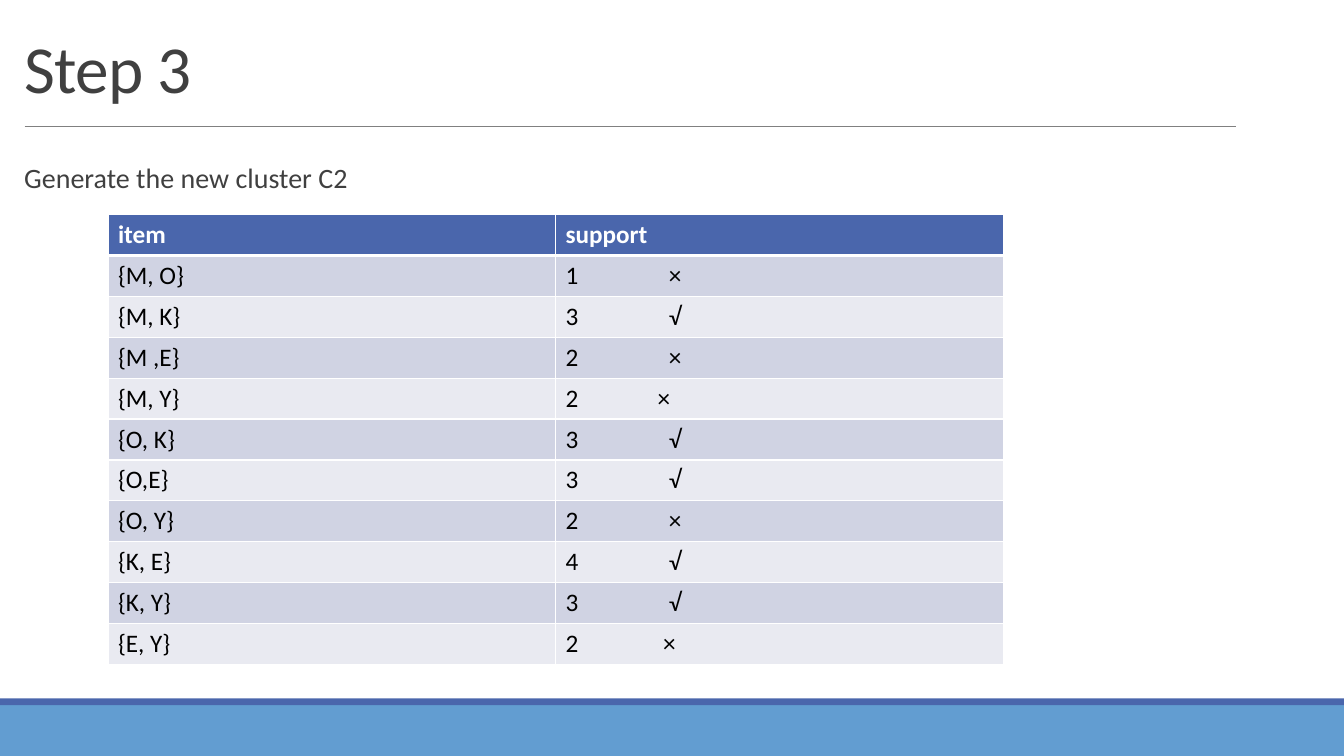
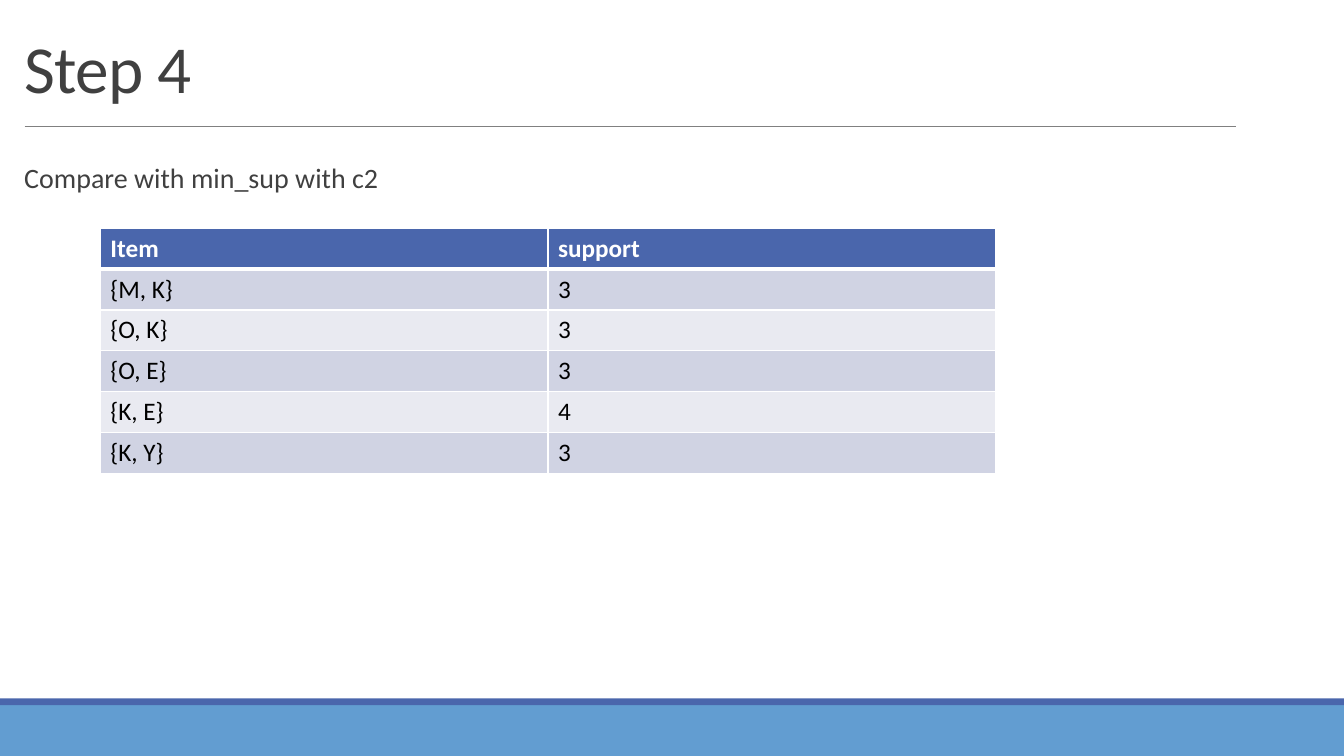
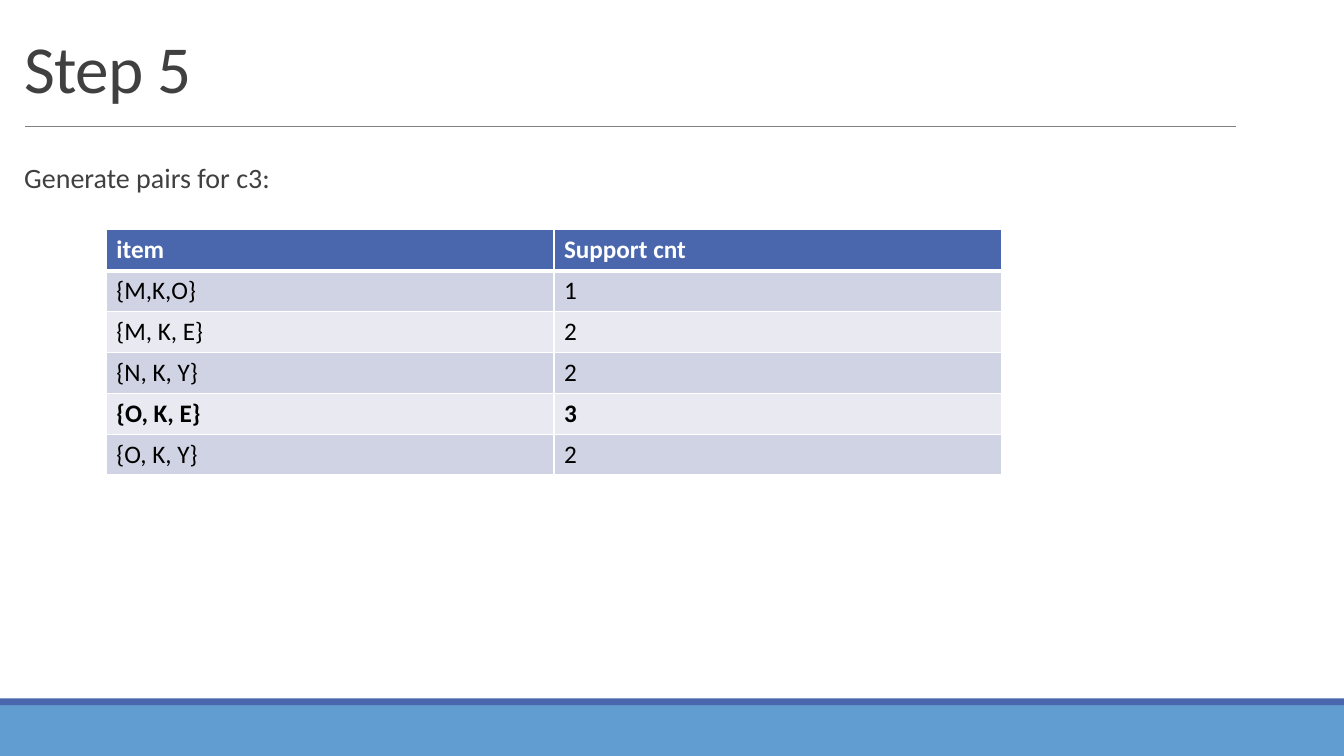
from dataclasses import dataclass

from lxml.etree import SubElement
from pptx import Presentation
from pptx.dml.color import RGBColor
from pptx.enum.shapes import MSO_CONNECTOR, MSO_SHAPE
from pptx.enum.text import MSO_ANCHOR, MSO_AUTO_SIZE, PP_ALIGN
from pptx.oxml.ns import qn
from pptx.util import Cm, Pt


@dataclass(frozen=True)
class Theme:
    font: str = "Calibri"
    blue: str = "4A66AC"
    sky: str = "629DD1"
    rule: str = "808080"
    ink: str = "404040"
    black: str = "000000"
    white: str = "FFFFFF"
    bands: tuple = ("E9EAF1", "D0D3E3")
    head: int = 48
    body: int = 20
    cell: int = 18


THEME = Theme()
WIDE, HIGH = 33.87, 19.05
COL, ROW = 11.28, 1.03
TAB = 2.6


def color(code):
    return RGBColor.from_string(code)


def write(frame, text, size, ink, bold=False, lead=None, track=None, tab=None):
    """Fill a text frame with one left-aligned paragraph."""
    para = frame.paragraphs[0]
    para.alignment = PP_ALIGN.LEFT
    if lead:
        para.line_spacing = lead
    if tab:
        stops = SubElement(para._p.get_or_add_pPr(), qn("a:tabLst"))
        SubElement(stops, qn("a:tab"), pos=str(Cm(tab)), algn="l")
    run = para.add_run()
    run.text = text
    font = run.font
    font.name, font.size, font.bold = THEME.font, Pt(size), bold
    font.color.rgb = color(ink)
    if track:
        run._r.get_or_add_rPr().set("spc", str(round(track * 100)))


def edge(cell, **widths):
    """Draw white cell borders; widths are points keyed L, R, T, B."""
    props = cell._tc.get_or_add_tcPr()
    for side, width in widths.items():
        line = SubElement(props, qn(f"a:ln{side}"), w=str(Pt(width)))
        fill = SubElement(line, qn("a:solidFill"))
        SubElement(fill, qn("a:srgbClr"), val=THEME.white)


class Deck:
    def __init__(self):
        self.file = Presentation()
        self.file.slide_width, self.file.slide_height = Cm(WIDE), Cm(HIGH)
        self.slide = None

    def page(self, title, lead):
        self.slide = self.file.slides.add_slide(self.file.slide_layouts[5])
        self.band(17.77, HIGH - 17.77, THEME.sky)
        self.band(17.6, 0.17, THEME.blue)
        self.rule()
        self.title(title)
        self.body(lead)

    def band(self, top, high, fill):
        bar = self.slide.shapes.add_shape(
            MSO_SHAPE.RECTANGLE, 0, Cm(top), Cm(WIDE), Cm(high))
        bar.shadow.inherit = False
        bar.fill.solid()
        bar.fill.fore_color.rgb = color(fill)
        bar.line.fill.background()

    def rule(self):
        line = self.slide.shapes.add_connector(
            MSO_CONNECTOR.STRAIGHT, Cm(0.62), Cm(3.18), Cm(31.14), Cm(3.18))
        line.line.color.rgb = color(THEME.rule)
        line.line.width = Pt(0.5)
        SubElement(line._element.spPr, qn("a:effectLst"))

    def title(self, text):
        box = self.slide.shapes.title
        box.left, box.top = Cm(0.36), Cm(0.43)
        box.width, box.height = Cm(30.56), Cm(2.39)
        frame = box.text_frame
        frame.auto_size = MSO_AUTO_SIZE.NONE
        frame.vertical_anchor = MSO_ANCHOR.BOTTOM
        write(frame, text, THEME.head, THEME.ink, lead=0.85, track=-0.5)

    def body(self, text):
        box = self.slide.shapes.add_textbox(
            Cm(0.36), Cm(4.01), Cm(33.05), Cm(12.5))
        frame = box.text_frame
        frame.word_wrap = True
        frame.margin_left, frame.margin_right = Cm(0.25), 0
        write(frame, text, THEME.body, THEME.ink, lead=0.9)

    def table(self, left, top, rows, strong=(), tabs=None):
        """Add a banded table; strong lists bold rows, tabs special stops."""
        count, wide = len(rows), len(rows[0])
        grid = self.slide.shapes.add_table(
            count, wide, Cm(left), Cm(top),
            Cm(COL * wide), Cm(ROW * count)).table
        for col in grid.columns:
            col.width = Cm(COL)
        for r, row in enumerate(rows):
            grid.rows[r].height = Cm(ROW)
            first = r == 0
            for c, text in enumerate(row):
                cell = grid.cell(r, c)
                edge(cell, L=1, R=1, T=3 if r == 1 else 1, B=3 if first else 1)
                cell.fill.solid()
                fill = THEME.blue if first else THEME.bands[r % 2]
                cell.fill.fore_color.rgb = color(fill)
                stop = (tabs or {}).get(r, TAB) if "\t" in text else None
                write(cell.text_frame, text, THEME.cell,
                      THEME.white if first else THEME.black,
                      bold=first or r in strong, tab=stop)


def main():
    deck = Deck()

    deck.page("Step 3", "Generate the new cluster C2")
    deck.table(2.72, 5.41, [
        ("item", "support"),
        ("{M, O}", "1\t×"),
        ("{M, K}", "3\t√"),
        ("{M ,E}", "2\t×"),
        ("{M, Y}", "2\t×"),
        ("{O, K}", "3\t√"),
        ("{O,E}", "3\t√"),
        ("{O, Y}", "2\t×"),
        ("{K, E}", "4\t√"),
        ("{K, Y}", "3\t√"),
        ("{E, Y}", "2\t×"),
    ], tabs={4: 2.32, 10: 2.46})

    deck.page("Step 4", "Compare with min_sup with c2")
    deck.table(2.53, 5.75, [
        ("Item", "support"),
        ("{M, K}", "3"),
        ("{O, K}", "3"),
        ("{O, E}", "3"),
        ("{K, E}", "4"),
        ("{K, Y}", "3"),
    ])

    deck.page("Step 5", "Generate pairs for c3:")
    deck.table(2.68, 5.79, [
        ("item", "Support cnt"),
        ("{M,K,O}", "1"),
        ("{M, K, E}", "2"),
        ("{N, K, Y}", "2"),
        ("{O, K, E}", "3"),
        ("{O, K, Y}", "2"),
    ], strong={4})

    deck.file.save("out.pptx")


if __name__ == "__main__":
    main()
